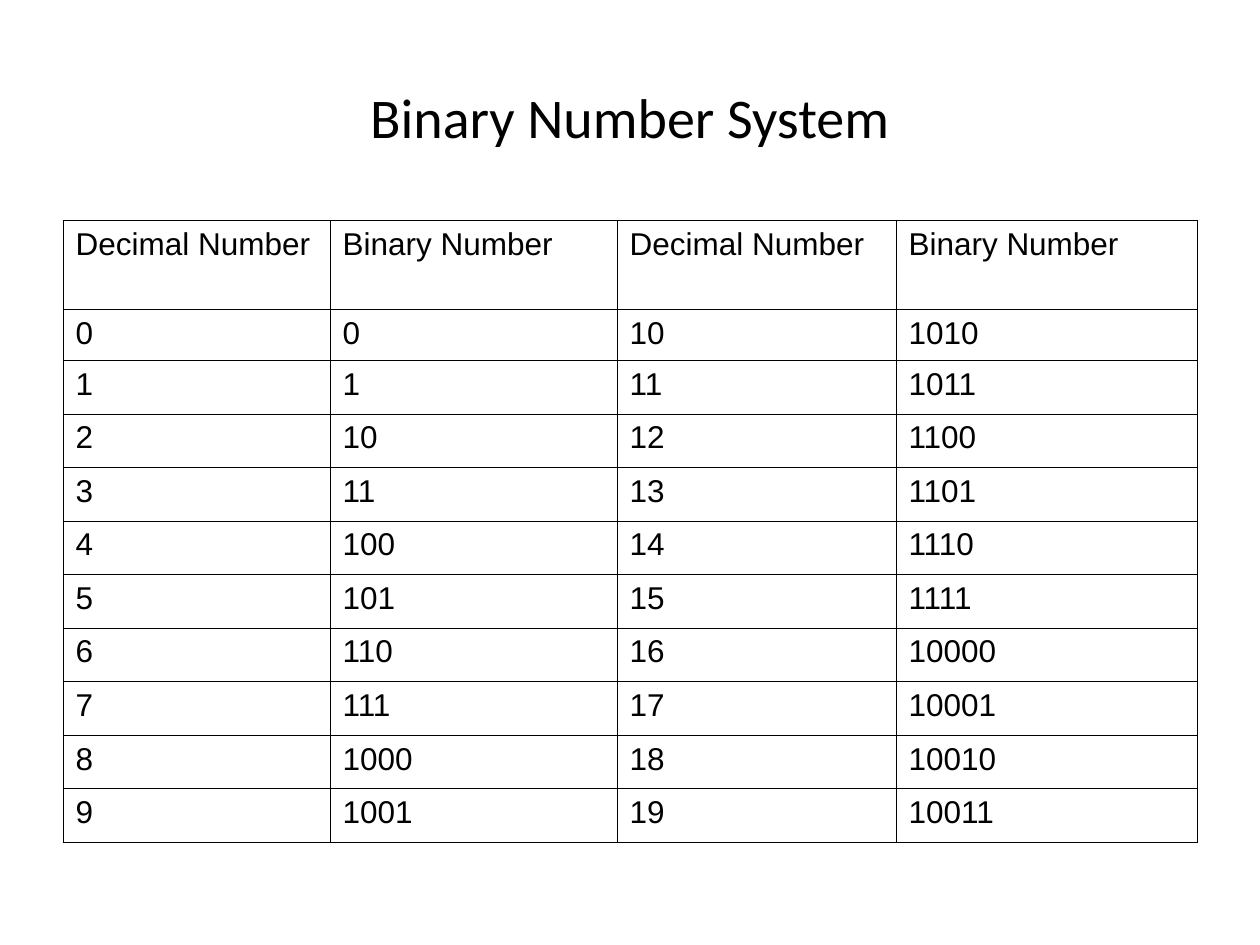
"""Build a slide with a table of decimal numbers and their binary forms."""
from lxml.etree import SubElement
from pptx import Presentation
from pptx.dml.color import RGBColor
from pptx.enum.text import MSO_ANCHOR as ANCHOR, PP_ALIGN as ALIGN
from pptx.oxml.ns import qn
from pptx.util import Pt

BLACK = RGBColor(0, 0, 0)
TITLE_FONT = {"name": "Calibri", "size": Pt(32), "bold": False}
CELL_FONT = {"name": "Arial", "size": Pt(18), "bold": False}
COL_WIDTHS = [152.6, 164, 159.4, 172]
ROW_HEIGHTS = [50.8, 29.2] + [30.6] * 9
HEADER = ["Decimal Number", "Binary Number"] * 2


def write(p, text, font):
    r = p.add_run()
    r.text = text
    for name, value in font.items():
        setattr(r.font, name, value)
    r.font.color.rgb = BLACK


def add_borders(cell):
    tc_pr = cell._tc.get_or_add_tcPr()
    for side in ("lnL", "lnR", "lnT", "lnB"):
        ln = SubElement(tc_pr, qn(f"a:{side}"), w=str(Pt(0.45)))
        fill = SubElement(ln, qn("a:solidFill"))
        SubElement(fill, qn("a:srgbClr"), val=str(BLACK))


prs = Presentation()
prs.slide_width, prs.slide_height = Pt(720), Pt(540)
s = prs.slides.add_slide(prs.slide_layouts[5])

title = s.shapes.title
title.left, title.top, title.width, title.height = Pt(36), Pt(21.6), Pt(648), Pt(90)
tf = title.text_frame
tf.vertical_anchor = ANCHOR.MIDDLE
p = tf.paragraphs[0]
p.alignment = ALIGN.CENTER
write(p, "Binary Number System", TITLE_FONT)

rows = [HEADER] + [[str(n), f"{n:b}", str(n + 10), f"{n + 10:b}"] for n in range(10)]
frame = s.shapes.add_table(len(rows), len(HEADER), Pt(36), Pt(126),
                           Pt(sum(COL_WIDTHS)), Pt(sum(ROW_HEIGHTS)))
table = frame.table
table.first_row = table.horz_banding = False
for col, width in zip(table.columns, COL_WIDTHS):
    col.width = Pt(width)
for row, height, texts in zip(table.rows, ROW_HEIGHTS, rows):
    row.height = Pt(height)
    for cell, text in zip(row.cells, texts):
        add_borders(cell)
        cell.fill.background()
        cell.margin_left = cell.margin_right = Pt(7.2)
        cell.margin_top = cell.margin_bottom = Pt(3.6)
        p = cell.text_frame.paragraphs[0]
        p_pr = p._p.get_or_add_pPr()
        p_pr.set("marL", str(Pt(27)))
        p_pr.set("indent", str(Pt(-27)))
        write(p, text, CELL_FONT)

prs.save("out.pptx")
